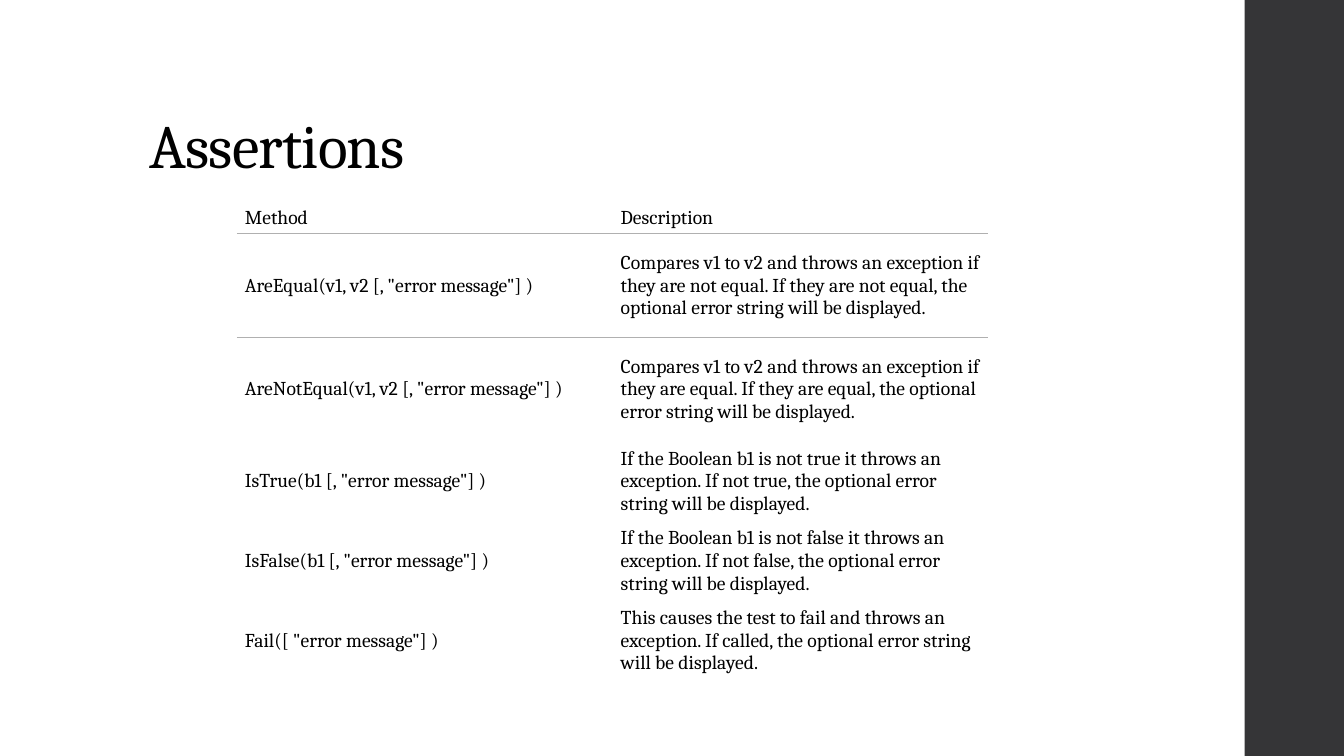
from dataclasses import dataclass

from pptx import Presentation
from pptx.dml.color import RGBColor
from pptx.enum.shapes import MSO_SHAPE
from pptx.enum.text import MSO_ANCHOR
from pptx.oxml import parse_xml
from pptx.oxml.ns import nsdecls, qn
from pptx.util import Pt

RECTANGLE = MSO_SHAPE.RECTANGLE
MIDDLE, BOTTOM = MSO_ANCHOR.MIDDLE, MSO_ANCHOR.BOTTOM
NO_STYLE_NO_GRID = "{2D5ABB26-0587-4C30-8999-92F81FD0307C}"

ASSERTIONS = [
    ("Method", "Description"),
    ('AreEqual(v1, v2 [, "error message"] )',
     "Compares v1 to v2 and throws an exception if they are not equal. "
     "If they are not equal, the optional error string will be displayed."),
    ('AreNotEqual(v1, v2 [, "error message"] )',
     "Compares v1 to v2 and throws an exception if they are equal. "
     "If they are equal, the optional error string will be displayed."),
    ('IsTrue(b1 [, "error message"] )',
     "If the Boolean b1 is not true it throws an exception. "
     "If not true, the optional error string will be displayed."),
    ('IsFalse(b1 [, "error message"] )',
     "If the Boolean b1 is not false it throws an exception. "
     "If not false, the optional error string will be displayed."),
    ('Fail([ "error message"] )',
     "This causes the test to fail and throws an exception. "
     "If called, the optional error string will be displayed."),
]
ROW_HEIGHTS = [23, 74.2, 74.2, 57, 57, 57]
COLUMN_WIDTHS = [268.4, 268.4]


@dataclass(frozen=True)
class Theme:
    """Colours, font and type sizes of the slide."""
    background: str = "FFFFFF"
    band: str = "353537"
    ink: str = "000000"
    rule: str = "B0B0B0"
    font: str = "Cambria"
    title_size: float = 44
    body_size: float = 14


def apply_format(target, values):
    """Set each named attribute of the target."""
    for name, value in values.items():
        setattr(target, name, value)


class SlideBuilder:
    """Draw themed elements on one slide, with lengths in points."""

    def __init__(self, slide, theme):
        self.slide = slide
        self.theme = theme
        fill = slide.background.fill
        fill.solid()
        fill.fore_color.rgb = RGBColor.from_string(theme.background)

    def add_span(self, frame, text, size):
        """Put one themed run into a text frame and return it."""
        span = frame.paragraphs[0].add_run()
        span.text = text
        apply_format(span.font, {"name": self.theme.font, "size": Pt(size)})
        span.font.color.rgb = RGBColor.from_string(self.theme.ink)
        return span

    def band(self, left, top, width, height):
        """Add a plain filled rectangle."""
        shape = self.slide.shapes.add_shape(
            RECTANGLE, Pt(left), Pt(top), Pt(width), Pt(height))
        shape.shadow.inherit = False
        shape.fill.solid()
        shape.fill.fore_color.rgb = RGBColor.from_string(self.theme.band)
        shape.line.fill.background()

    def title(self, text, left, top, width, height):
        """Add the slide title, resting on the bottom of its box."""
        box = self.slide.shapes.add_textbox(
            Pt(left), Pt(top), Pt(width), Pt(height))
        frame = box.text_frame
        apply_format(frame, {"word_wrap": True, "vertical_anchor": BOTTOM})
        frame.paragraphs[0].line_spacing = 0.9
        span = self.add_span(frame, text, self.theme.title_size)
        span._r.get_or_add_rPr().set("spc", "-50")

    def border(self, cell, side):
        """Draw a thin rule on one side of a cell."""
        line = parse_xml(
            f'<a:{side} {nsdecls("a")} w="{Pt(1)}"><a:solidFill>'
            f'<a:srgbClr val="{self.theme.rule}"/></a:solidFill></a:{side}>')
        cell._tc.get_or_add_tcPr().insert(0, line)

    def table(self, rows, left, top, widths, heights):
        """Add an open table with a rule under its header."""
        shape = self.slide.shapes.add_table(
            len(rows), len(widths), Pt(left), Pt(top),
            Pt(sum(widths)), Pt(sum(heights)))
        next(shape.element.iter(qn("a:tableStyleId"))).text = NO_STYLE_NO_GRID
        table = shape.table
        apply_format(table, {"first_row": True, "horz_banding": False})
        for column, width in zip(table.columns, widths):
            column.width = Pt(width)
        for row, height in zip(table.rows, heights):
            row.height = Pt(height)
        for row_index, texts in enumerate(rows):
            for column_index, text in enumerate(texts):
                cell = table.cell(row_index, column_index)
                apply_format(cell, {
                    "vertical_anchor": MIDDLE,
                    "margin_left": Pt(5.8), "margin_right": Pt(5.8),
                    "margin_top": Pt(2.9), "margin_bottom": Pt(2.9)})
                cell.fill.background()
                self.add_span(cell.text_frame, text, self.theme.body_size)
                if row_index < 2:
                    self.border(cell, ("lnB", "lnT")[row_index])


def main():
    """Build and save the slide."""
    deck = Presentation()
    apply_format(deck, {"slide_width": Pt(960), "slide_height": Pt(540)})
    page = SlideBuilder(deck.slides.add_slide(deck.slide_layouts[6]), Theme())
    page.band(889, 0, 71, 540)
    page.title("Assertions", 99.4, 28.8, 763.2, 104.4)
    page.table(ASSERTIONS, 169.2, 144, COLUMN_WIDTHS, ROW_HEIGHTS)
    deck.save("out.pptx")


if __name__ == "__main__":
    main()
